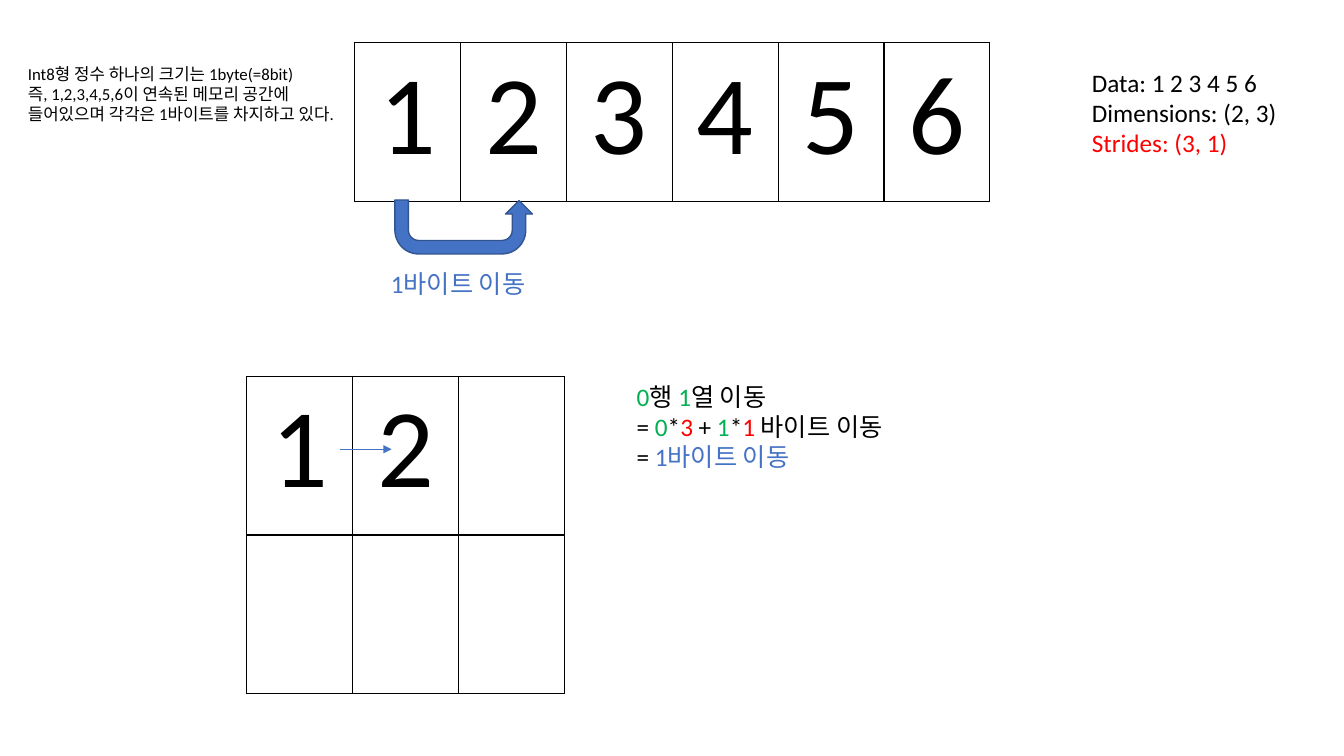
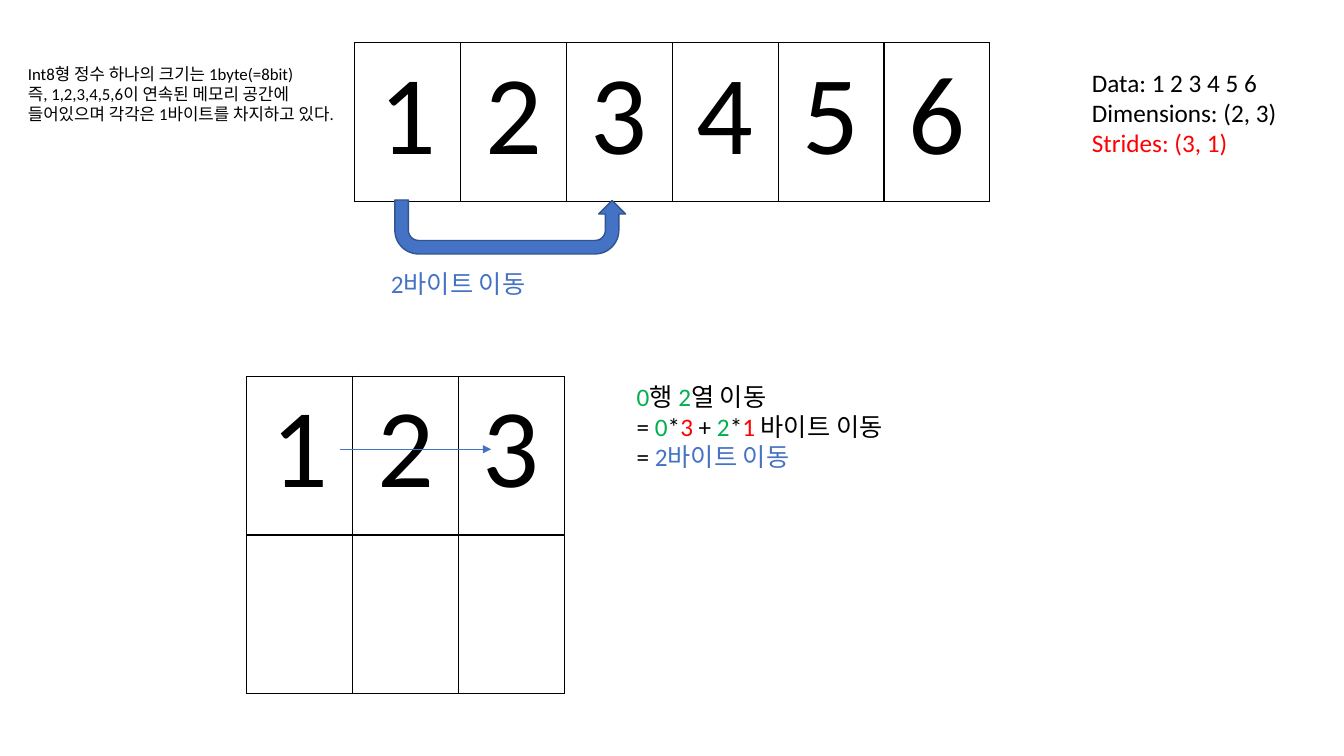
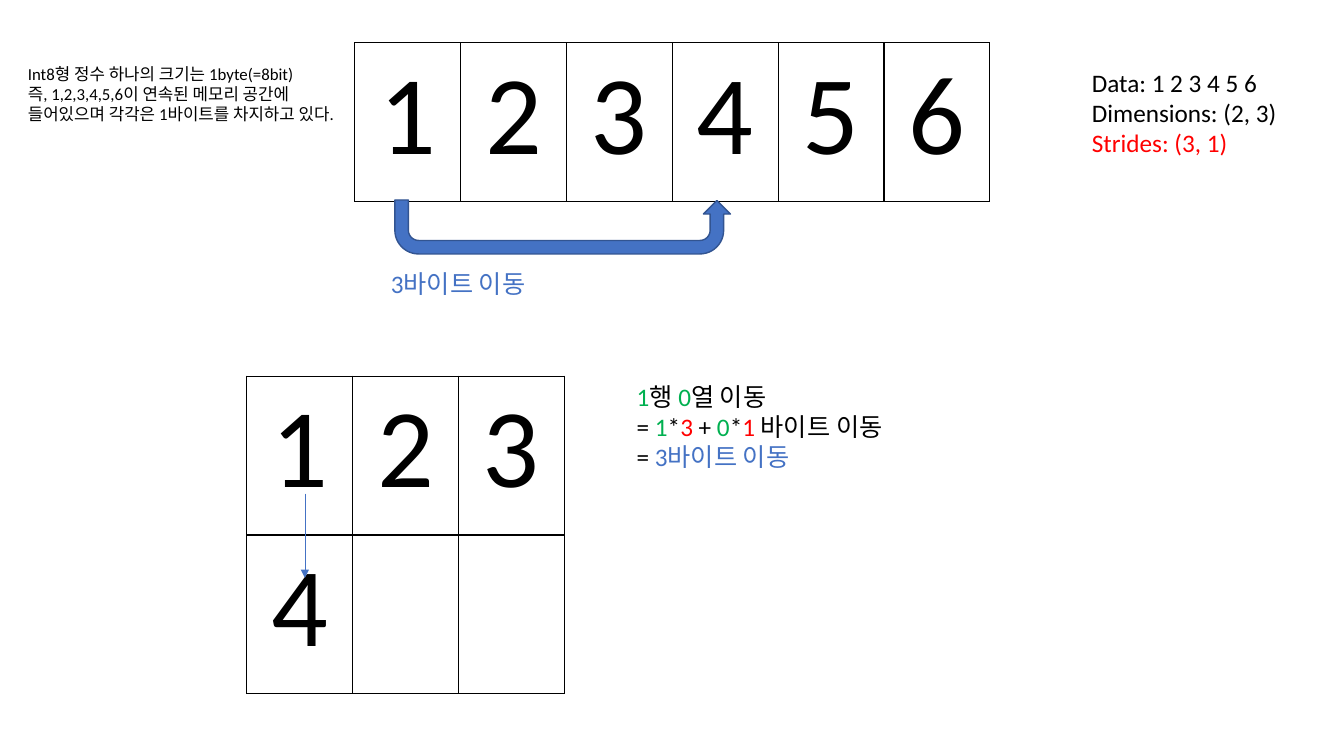
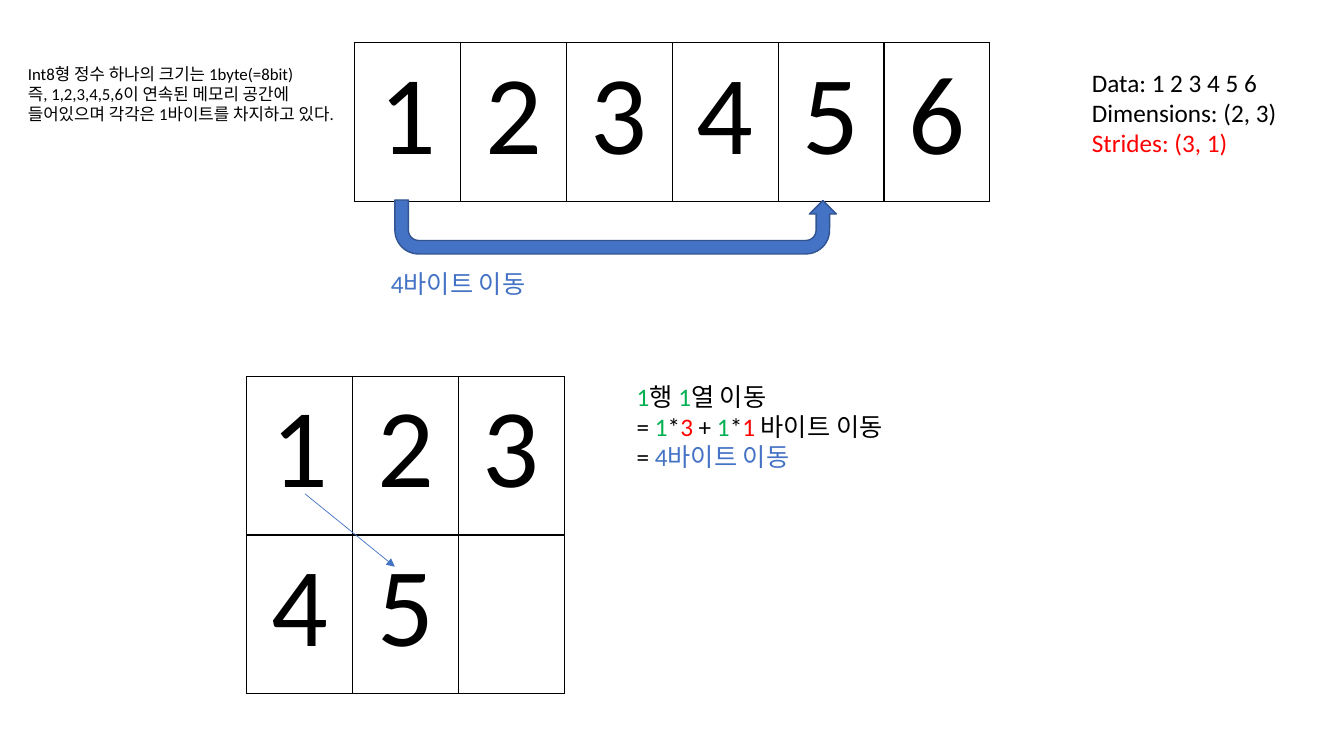
from pptx import Presentation
from pptx.dml.color import RGBColor as RGB
from pptx.enum.shapes import MSO_CONNECTOR as LINK, MSO_SHAPE as SHAPE
from pptx.enum.text import MSO_AUTO_SIZE as FIT, PP_ALIGN as ALIGN
from pptx.oxml import parse_xml
from pptx.oxml.ns import nsdecls
from pptx.util import Inches, Pt

HUES = {"ink": "000000", "blue": "4472C4", "edge": "325491", "red": "FF0000", "green": "00B050"}
FONT = "Calibri"
COL = Inches(1.05)
ROW = COL * 3 // 2
STRIDE = 3
MOVES = [
    (0, 1, 1.3, (3.21, 2.83, 3.7, 2.83)),
    (0, 2, 2.18, (3.21, 2.83, 4.64, 2.83)),
    (1, 0, 3.17, (2.88, 3.11, 2.88, 3.64)),
    (1, 1, 4.17, (2.88, 3.11, 3.73, 3.57)),
]
FACTS = [
    [("Data: 1 2 3 4 5 6", "ink")],
    [("Dimensions: (2, 3)", "ink")],
    [("Strides: (3, 1)", "red")],
]
NOTE = [
    [("Int8형 정수 하나의 크기는 1byte(=8bit)", "ink")],
    [("즉, 1,2,3,4,5,6이 연속된 메모리 공간에 들어있으며 각각은 1바이트를 차지하고 있다.", "ink")],
]


def span(x, y, w, h):
    return int(x * COL), int(y * ROW), int(w * COL), int(h * ROW)


def write(slide, box, lines, size=18, wrap=False):
    frame = slide.shapes.add_textbox(*span(*box)).text_frame
    frame.word_wrap = wrap
    frame.auto_size = FIT.SHAPE_TO_FIT_TEXT
    for i, line in enumerate(lines):
        para = frame.add_paragraph() if i else frame.paragraphs[0]
        for text, hue in line:
            run = para.add_run()
            run.text = text
            run.font.name = FONT
            run.font.size = Pt(size)
            run.font.color.rgb = RGB.from_string(HUES[hue])


deck = Presentation()
deck.slide_width, deck.slide_height = Inches(13.33), Inches(7.5)

for down, right, width, route in MOVES:
    slide = deck.slides.add_slide(deck.slide_layouts[6])
    shapes = slide.shapes
    steps = down * STRIDE + right

    for left, top, rows, cols, count in [(3.35, 0.27, 1, 6, 6), (2.33, 2.37, 2, 3, steps + 1)]:
        table = shapes.add_table(rows, cols, *span(left, top, cols, rows)).table
        table.first_row = table.horz_banding = False
        for i, cell in enumerate(table.iter_cells()):
            cell.fill.background()
            props = cell._tc.get_or_add_tcPr()
            for spot, side in enumerate("LRTB"):
                props.insert(spot, parse_xml(
                    f'<a:ln{side} {nsdecls("a")} w="12700"><a:solidFill>'
                    f'<a:srgbClr val="{HUES["ink"]}"/></a:solidFill></a:ln{side}>'))
            if i < count:
                para = cell.text_frame.paragraphs[0]
                para.text = str(i + 1)
                para.alignment = ALIGN.CENTER
                font = para.runs[0].font
                font.name, font.size = FONT, Pt(80)
                font.color.rgb = RGB.from_string(HUES["ink"])

    write(slide, (10.22, 0.39, 1.95, 0.64), FACTS)
    write(slide, (0.17, 0.37, 3.17, 0.58), NOTE, 12, True)

    arrow = shapes.add_connector(LINK.STRAIGHT, *span(*route))
    arrow.line.color.rgb = RGB.from_string(HUES["blue"])
    arrow.line.width = Pt(0.5)
    arrow.line._get_or_add_ln().append(parse_xml(f'<a:tailEnd {nsdecls("a")} type="triangle"/>'))
    arrow._element.spPr.append(parse_xml(f'<a:effectLst {nsdecls("a")}/>'))

    jump = shapes.add_shape(SHAPE.U_TURN_ARROW, *span(3.73, 1.26, width, 0.34))
    jump._element.spPr.xfrm.set("flipV", "1")
    for i, share in enumerate([0.25, 0.25, 0.25, 0.44, 0.99]):
        jump.adjustments[i] = share
    jump.shadow.inherit = False
    jump.fill.solid()
    jump.fill.fore_color.rgb = RGB.from_string(HUES["blue"])
    jump.line.color.rgb = RGB.from_string(HUES["edge"])
    jump.line.width = Pt(1)

    total = (f"{steps}바이트 이동", "blue")
    write(slide, (3.6, 1.66, 2.65, 0.25), [[total]], wrap=True)
    write(slide, (5.92, 2.37, 2.64, 0.64), [
        [(str(down), "green"), ("행 ", "ink"), (str(right), "green"), ("열 이동", "ink")],
        [("= ", "ink"), (str(down), "green"), ("*", "ink"), (f"{STRIDE} ", "red"), ("+ ", "ink"),
         (str(right), "green"), ("*", "ink"), ("1", "red"), (" 바이트 이동", "ink")],
        [("= ", "ink"), total],
    ])

deck.save("out.pptx")
